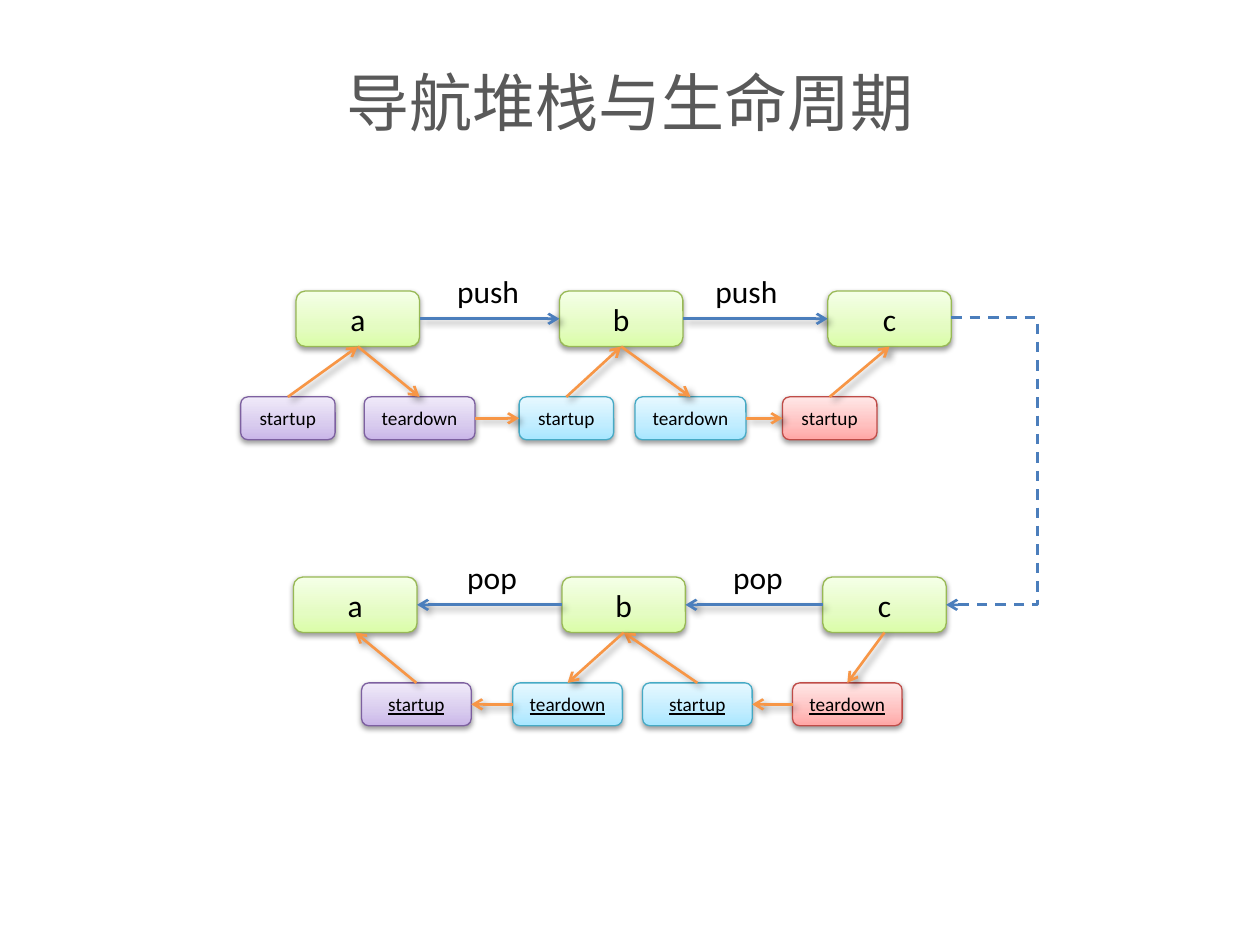
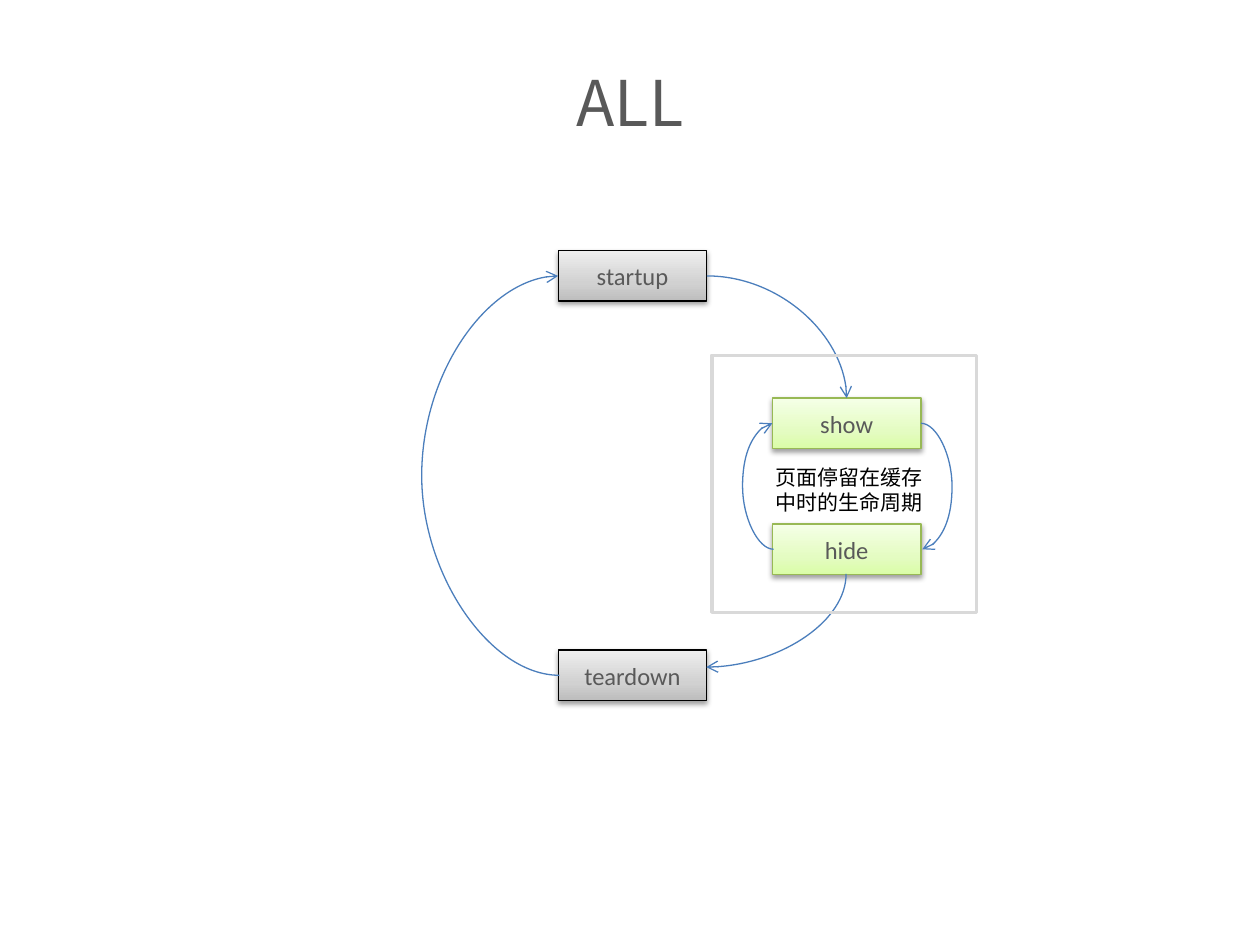
"""Builds two slides on the navigation stack and the page life cycle."""
from copy import deepcopy
from dataclasses import dataclass

from lxml.etree import SubElement
from pptx import Presentation
from pptx.dml.color import RGBColor
from pptx.enum.dml import MSO_LINE
from pptx.enum.shapes import MSO_CONNECTOR, MSO_SHAPE
from pptx.enum.text import MSO_ANCHOR, PP_ALIGN
from pptx.oxml.ns import qn
from pptx.util import Inches, Pt


@dataclass(frozen=True)
class Theme:
    latin: str = "Calibri"
    chinese: str = "Noto Sans CJK SC"
    title_size: int = 36
    page_size: int = 18
    step_size: int = 14
    note_size: int = 12
    stage_size: int = 11
    black: str = "000000"
    grey: str = "595959"
    frame: str = "D9D9D9"
    blue: str = "4B7EBC"
    orange: str = "F79646"
    green_box: tuple = ("98B955", "DAFDA7", "E4FCC2", "F5FFE7")
    purple_box: tuple = ("7D60A0", "C9B5E8", "D8CBEE", "F0EAF9")
    cyan_box: tuple = ("46AAC5", "A7E6FF", "C1EDFF", "E7F8FF")
    red_box: tuple = ("BF4C48", "FFA6A5", "FFC0BF", "FFE7E7")
    grey_box: tuple = ("000000", "BDBDBD", "D1D1D1", "EEEEEE")
    box_shadow: tuple = (3.1, 1.6, 90, 38)
    arrow_shadow: tuple = (4, 3, 45, 40)


theme = Theme()
TOP, LEFT, BOTTOM, RIGHT = range(4)

presentation = Presentation()
presentation.slide_width, presentation.slide_height = Inches(10), Inches(7.5)
cell = presentation.slide_width // 10


def add_box(slide, kind, place, text, size, color, palette):
    """Add a shaded box with centred text; place is in grid cells."""
    shape = slide.shapes.add_shape(kind, *[int(value * cell) for value in place])
    line, *shades = palette
    shape.line.color.rgb = RGBColor.from_string(line)
    shape.line.width = Pt(0.75)
    shape.fill.gradient()
    shape.fill.gradient_angle = 90
    first_stop = shape.fill._xPr.find(qn("a:gradFill")).find(qn("a:gsLst"))[0]
    first_stop.addnext(deepcopy(first_stop))
    for stop, position, shade in zip(shape.fill.gradient_stops, (0, 0.35, 1), shades):
        stop.position = position
        stop.color.rgb = RGBColor.from_string(shade)
    shape.shadow.inherit = False
    shape.text_frame.text = text
    shape.text_frame.word_wrap = True
    shape.text_frame.vertical_anchor = MSO_ANCHOR.MIDDLE
    paragraph = shape.text_frame.paragraphs[0]
    paragraph.alignment = PP_ALIGN.CENTER
    paragraph.font.name = theme.latin
    paragraph.font.size = Pt(size)
    paragraph.font.color.rgb = RGBColor.from_string(color)
    return shape


def add_arrow(slide, kind, begin, end, color, width):
    """Add an arrow between two points given in grid cells."""
    points = [int(value * cell) for value in (*begin, *end)]
    connector = slide.shapes.add_connector(kind, *points)
    connector.line.color.rgb = RGBColor.from_string(color)
    connector.line.width = Pt(width)
    connector.line.dash_style = MSO_LINE.SOLID
    SubElement(connector.line._get_or_add_ln(), qn("a:tailEnd"), type="arrow")
    SubElement(connector._element.spPr, qn("a:effectLst"))
    return connector


slides = []
for heading in ("导航堆栈与生命周期", "ALL"):
    slide = presentation.slides.add_slide(presentation.slide_layouts[5])
    title = slide.shapes.title
    title.left, title.top = int(0.5 * cell), int(0.18 * cell)
    title.width, title.height = 9 * cell, int(1.25 * cell)
    title.text_frame.text = heading
    title.text_frame.vertical_anchor = MSO_ANCHOR.MIDDLE
    paragraph = title.text_frame.paragraphs[0]
    paragraph.alignment = PP_ALIGN.CENTER
    paragraph.font.size = Pt(theme.title_size)
    paragraph.font.color.rgb = RGBColor.from_string(theme.grey)
    slides.append(slide)
stack_slide, cycle_slide = slides

shadowed = []
forward = dict(
    action="push", top=2.31, exit=RIGHT, entry=LEFT, underline=False,
    pages=(("a", 2.35), ("b", 4.44), ("c", 6.57)),
    stages=(
        ("startup", 0, 1.91, 0.75, theme.purple_box),
        ("teardown", 0, 2.89, 0.88, theme.purple_box),
        ("startup", 1, 4.12, 0.75, theme.cyan_box),
        ("teardown", 1, 5.04, 0.88, theme.cyan_box),
        ("startup", 2, 6.21, 0.75, theme.red_box),
    ),
    labels=((3.53, 0.7), (5.58, 0.7)),
)
backward = dict(
    action="pop", top=4.58, exit=LEFT, entry=RIGHT, underline=True,
    pages=(("c", 6.53), ("b", 4.46), ("a", 2.33)),
    stages=(
        ("teardown", 0, 6.29, 0.87, theme.red_box),
        ("startup", 1, 5.1, 0.87, theme.cyan_box),
        ("teardown", 1, 4.07, 0.87, theme.cyan_box),
        ("startup", 2, 2.87, 0.87, theme.purple_box),
    ),
    labels=((5.72, 0.6), (3.61, 0.6)),
)
for trip in (forward, backward):
    top, leave, enter = trip["top"], trip["exit"], trip["entry"]
    pages = [
        add_box(stack_slide, MSO_SHAPE.ROUNDED_RECTANGLE, (left, top, 0.98, 0.44),
                name, theme.page_size, theme.black, theme.green_box)
        for name, left in trip["pages"]
    ]
    links = [(source, leave, target, enter, theme.blue)
             for source, target in zip(pages, pages[1:])]
    previous = None
    for name, page, left, width, palette in trip["stages"]:
        stage = add_box(stack_slide, MSO_SHAPE.ROUNDED_RECTANGLE,
                        (left, top + 0.84, width, 0.34), name,
                        theme.stage_size, theme.black, palette)
        stage.text_frame.paragraphs[0].font.underline = trip["underline"]
        shadowed.append((stage, theme.box_shadow))
        if name == "startup":
            links.append((stage, TOP, pages[page], BOTTOM, theme.orange))
            if previous:
                links.append((previous, leave, stage, enter, theme.orange))
        else:
            links.append((pages[page], BOTTOM, stage, TOP, theme.orange))
        previous = stage
    shadowed += [(page, theme.box_shadow) for page in pages]
    for source, source_site, target, target_site, color in links:
        connector = add_arrow(stack_slide, MSO_CONNECTOR.STRAIGHT,
                              (0, 0), (0, 0), color, 1.5)
        connector.begin_connect(source, source_site)
        connector.end_connect(target, target_site)
        shadowed.append((connector, theme.arrow_shadow))
    for left, width in trip["labels"]:
        label = stack_slide.shapes.add_textbox(
            int(left * cell), int((top - 0.2) * cell), int(width * cell), int(0.4 * cell))
        label.text_frame.text = trip["action"]
        paragraph = label.text_frame.paragraphs[0]
        paragraph.font.name = theme.latin
        paragraph.font.size = Pt(theme.page_size)
        paragraph.font.color.rgb = RGBColor.from_string(theme.black)

return_arrow = add_arrow(stack_slide, MSO_CONNECTOR.ELBOW,
                         (7.55, 2.52), (7.51, 4.8), theme.blue, 1.5)
return_arrow.line.dash_style = MSO_LINE.DASH
bends = [(return_arrow, "bentConnector3", -17, 0)]

for name, left, top, palette in (
    ("startup", 4.43, 1.99, theme.grey_box),
    ("teardown", 4.43, 5.16, theme.grey_box),
    ("show", 6.13, 3.16, theme.green_box),
    ("hide", 6.13, 4.16, theme.green_box),
):
    step = add_box(cycle_slide, MSO_SHAPE.RECTANGLE, (left, top, 1.18, 0.4),
                   name, theme.step_size, theme.grey, palette)
    shadowed.append((step, theme.box_shadow))

for begin, end, preset, bend, turn in (
    ((5.61, 2.19), (6.72, 3.16), "curvedConnector2", None, 0),
    ((4.44, 5.36), (4.43, 2.19), "curvedConnector3", 111, 0),
    ((5.79, 4.37), (6.53, 5.48), "curvedConnector2", None, 90),
    ((6.14, 4.36), (6.13, 3.36), "curvedConnector3", 25, 0),
    ((7.31, 3.36), (7.32, 4.36), "curvedConnector3", 25, 0),
):
    curve = add_arrow(cycle_slide, MSO_CONNECTOR.CURVE, begin, end, theme.blue, 0.75)
    bends.append((curve, preset, bend, turn))

for connector, preset, bend, turn in bends:
    properties = connector._element.spPr
    geometry = properties.find(qn("a:prstGeom"))
    geometry.set("prst", preset)
    if turn:
        properties.find(qn("a:xfrm")).set("rot", str(turn * 60000))
    if bend:
        adjustments = geometry.find(qn("a:avLst"))
        if adjustments is None:
            adjustments = SubElement(geometry, qn("a:avLst"))
        SubElement(adjustments, qn("a:gd"), name="adj1", fmla=f"val {bend * 100000}")

for shape, (blur, distance, angle, opacity) in shadowed:
    effects = shape._element.spPr.find(qn("a:effectLst"))
    shadow = SubElement(effects, qn("a:outerShdw"), blurRad=str(Pt(blur)),
                        dist=str(Pt(distance)), dir=str(angle * 60000), rotWithShape="0")
    shade = SubElement(shadow, qn("a:srgbClr"), val=theme.black)
    SubElement(shade, qn("a:alpha"), val=str(opacity * 1000))

frame = cycle_slide.shapes.add_shape(
    MSO_SHAPE.RECTANGLE, *[int(value * cell) for value in (5.65, 2.82, 2.1, 2.04)])
frame.fill.background()
frame.line.color.rgb = RGBColor.from_string(theme.frame)
frame.line.width = Pt(2)
frame.shadow.inherit = False

note = cycle_slide.shapes.add_textbox(
    *[int(value * cell) for value in (6.06, 3.64, 1.49, 0.5)])
note.text_frame.word_wrap = True
note.text_frame.text = "页面停留在缓存\n中时的生命周期"
for paragraph in note.text_frame.paragraphs:
    paragraph.font.size = Pt(theme.note_size)
    paragraph.font.color.rgb = RGBColor.from_string(theme.black)

for shape in (stack_slide.shapes.title, cycle_slide.shapes.title, note):
    for paragraph in shape.text_frame.paragraphs:
        paragraph.font.name = theme.chinese
        SubElement(paragraph.font._rPr, qn("a:ea"), typeface=theme.chinese)

presentation.save("out.pptx")
